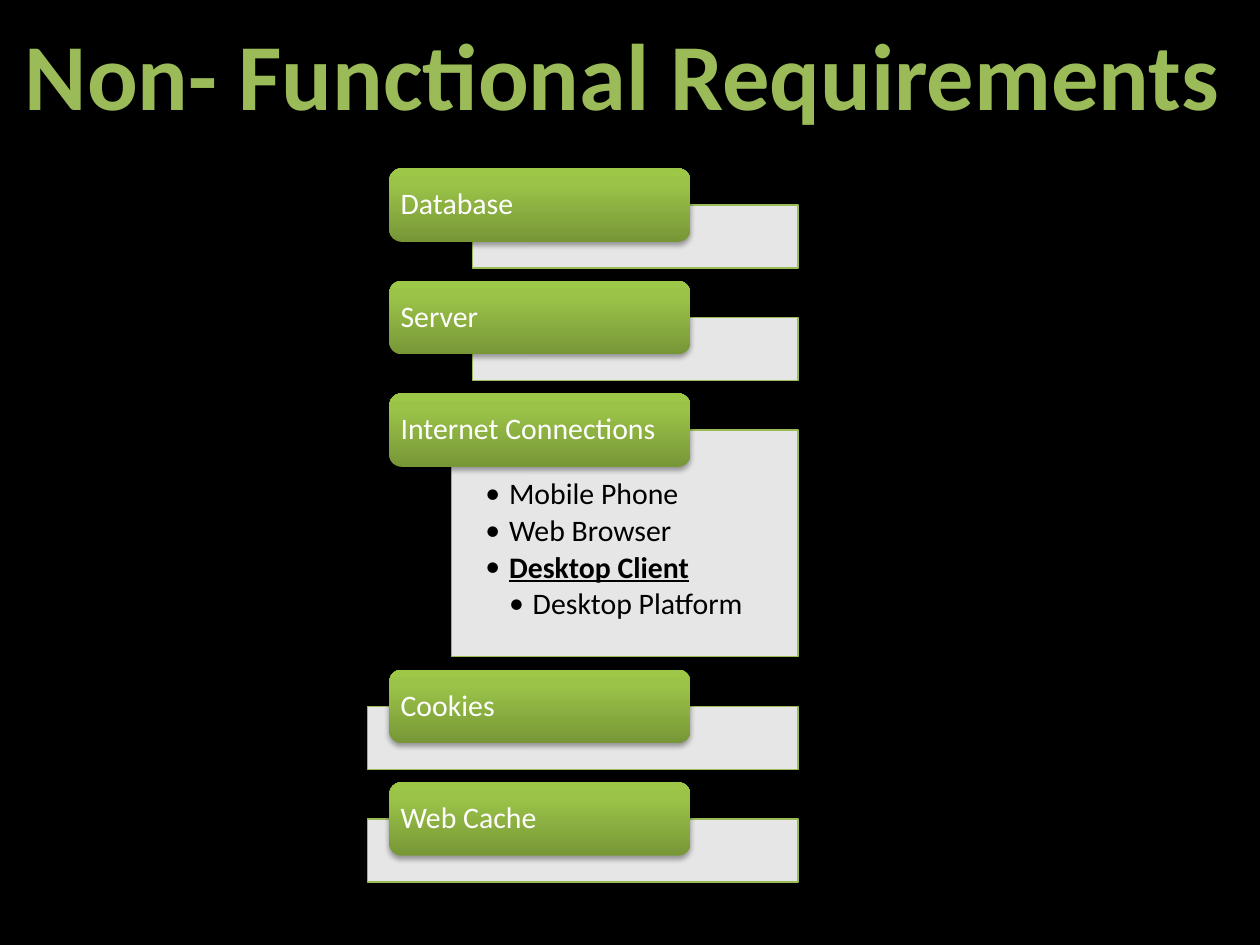
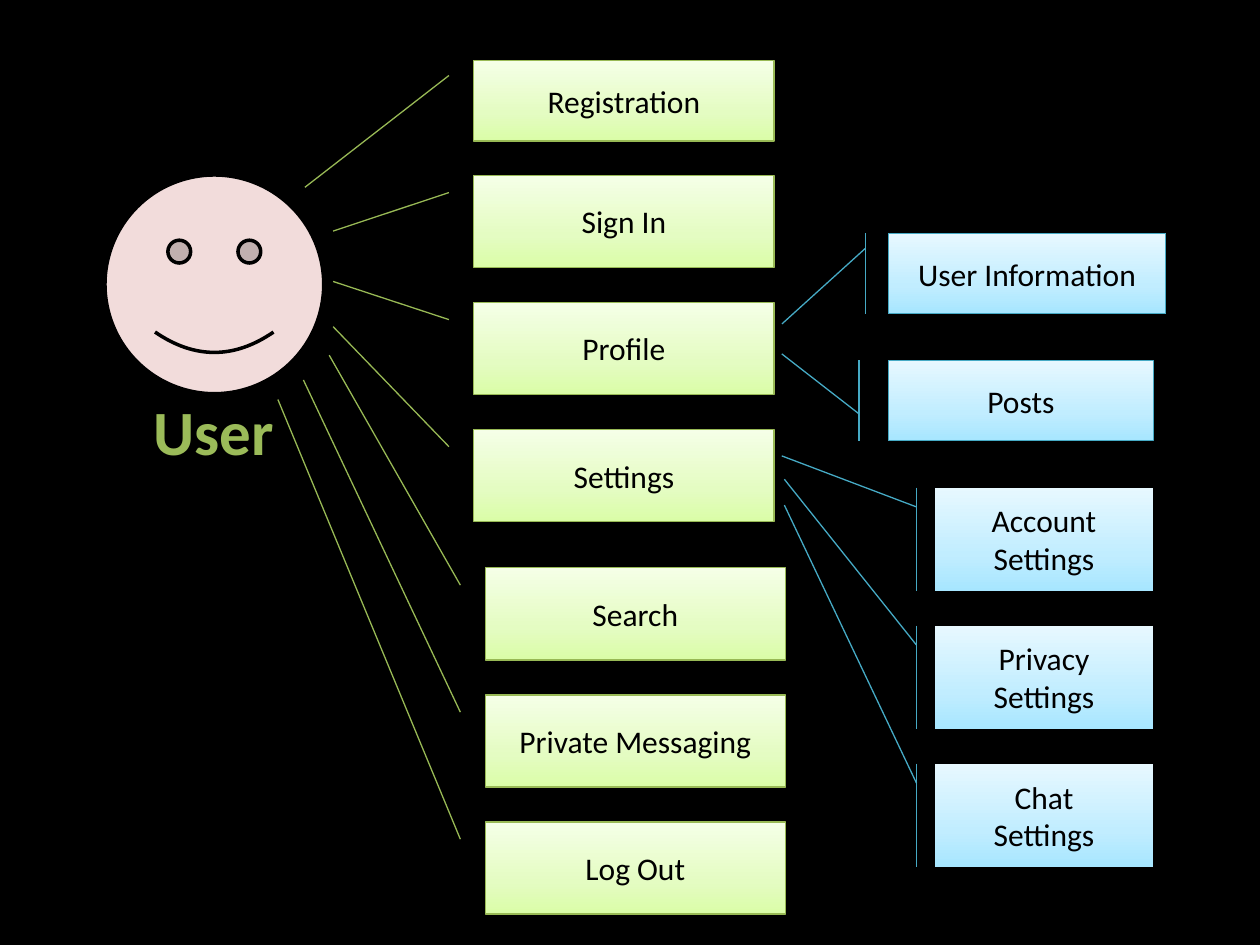
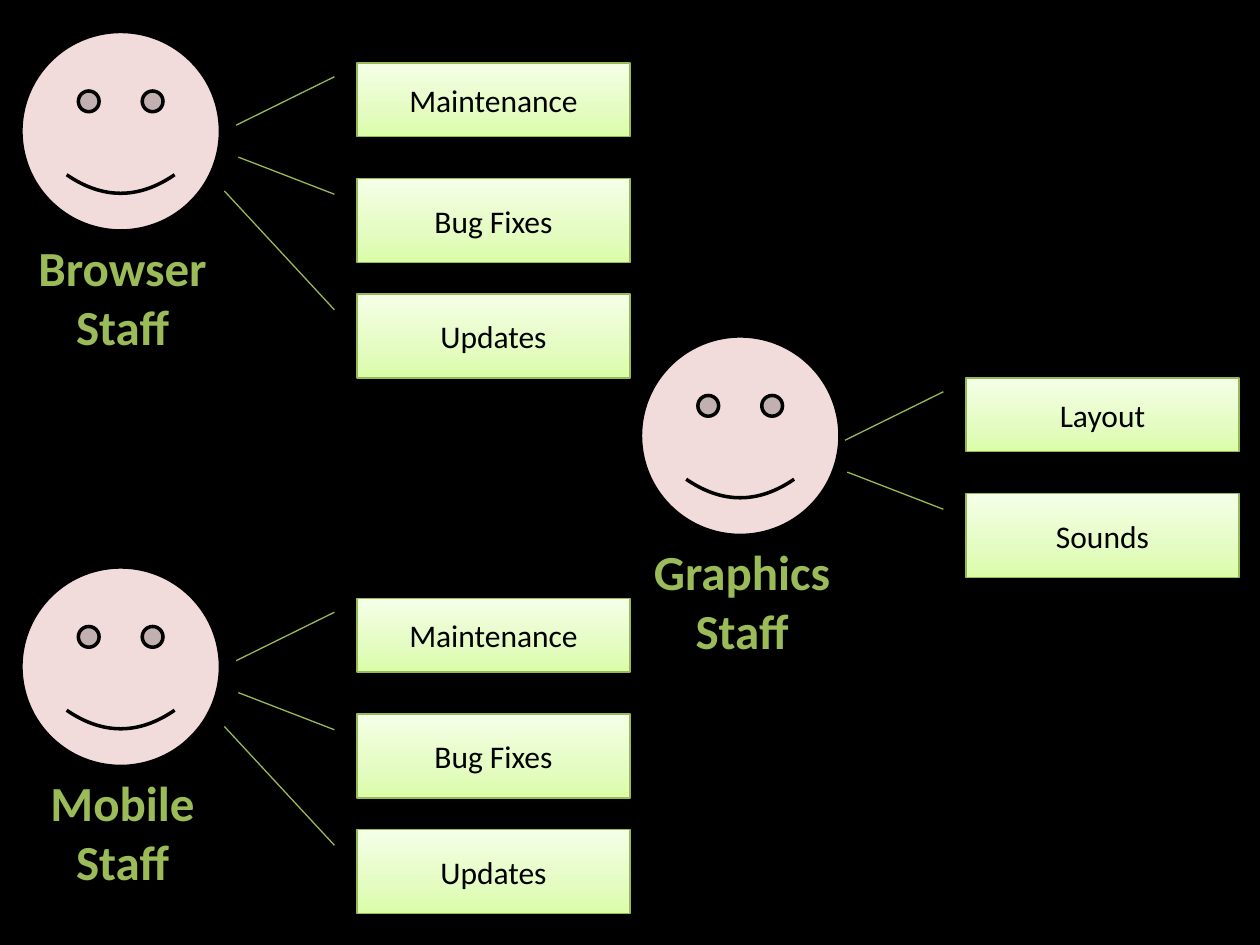
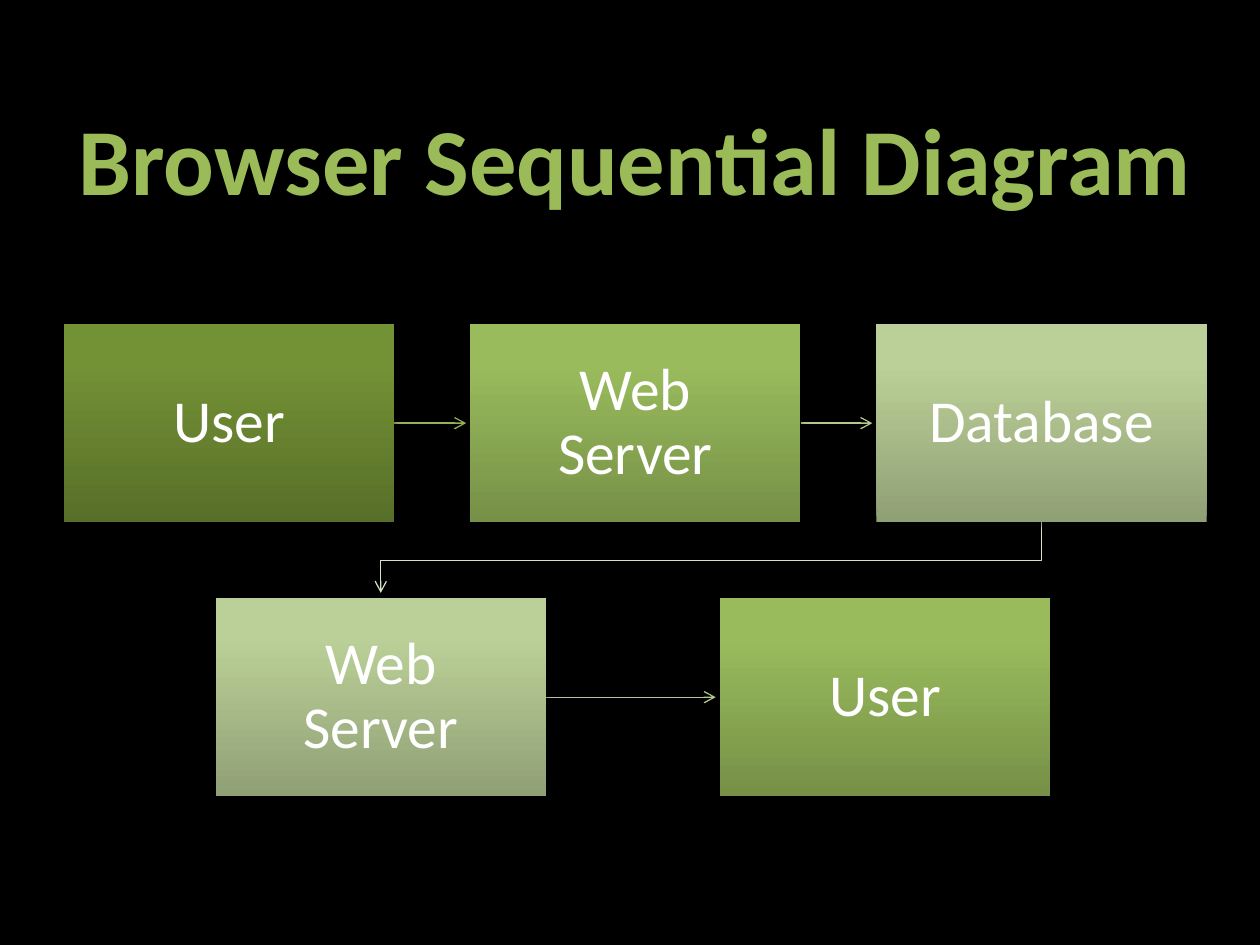
from lxml.etree import SubElement
from pptx import Presentation
from pptx.dml.color import RGBColor
from pptx.enum.shapes import MSO_CONNECTOR, MSO_SHAPE
from pptx.enum.text import MSO_ANCHOR, MSO_AUTO_SIZE, PP_ALIGN
from pptx.oxml.ns import qn
from pptx.util import Pt

FONT = "Calibri"
WHITE, BLACK, GREEN, SKIN = "FFFFFF", "000000", "9BBB59", "F2DCDB"
GREEN_LINE, BLUE_LINE = "98B955", "46AAC5"
CARD_GRADIENT = ((0, "779737"), (80, "9BC348"), (100, "9DC746"))
GREEN_GRADIENT = ((0, "DAFDA7"), (35, "E4FCC2"), (100, "F5FFE7"))
BLUE_GRADIENT = ((0, "A7E6FF"), (35, "C1EDFF"), (100, "E7F8FF"))
DARK_STEP = ((0, "586F29"), (80, "739135"), (100, "749334"))
MID_STEP = ((0, "769047"), (80, "99BB5C"), (100, "9ABD5B"))
PALE_STEP = ((0, "90A075"), (80, "BBD098"), (100, "BCD298"))

MIDDLE = {"word_wrap": True, "vertical_anchor": MSO_ANCHOR.MIDDLE}
CENTRED = {"alignment": PP_ALIGN.CENTER}
LEFT_TIGHT = {"alignment": PP_ALIGN.LEFT, "line_spacing": 0.9}
CENTRED_TIGHT = {"alignment": PP_ALIGN.CENTER, "line_spacing": 0.9}
HEADING_FRAME = {"word_wrap": False, "auto_size": MSO_AUTO_SIZE.SHAPE_TO_FIT_TEXT}


def color(value):
    """Return the colour for a hex string."""
    return RGBColor.from_string(value)


def assign(target, formats):
    """Set every attribute named in a dict of format values."""
    for name, value in formats.items():
        setattr(target, name, value)


def margins(left, top, right, bottom):
    """Return text frame margins as format values."""
    sides = {"left": left, "top": top, "right": right, "bottom": bottom}
    return {f"margin_{side}": Pt(size) for side, size in sides.items()}


def write(frame, text, size, ink, frame_formats, paragraph_formats, bold=False):
    """Fill a text frame with one paragraph per line of text."""
    assign(frame, frame_formats)
    frame.text = text
    for paragraph in frame.paragraphs:
        assign(paragraph, paragraph_formats)
        font = paragraph.runs[0].font
        assign(font, {"name": FONT, "size": Pt(size), "bold": bold})
        font.color.rgb = color(ink)


def outline(line, ink, width=0.75):
    """Draw a line in one colour."""
    line.color.rgb = color(ink)
    line.width = Pt(width)


def add_flat(slide, kind, box):
    """Add a preset shape without a shadow."""
    shape = slide.shapes.add_shape(kind, *map(Pt, box))
    shape.shadow.inherit = False
    return shape


def fill_gradient(shape, stops):
    """Fill a shape from bottom to top through the given stops."""
    shape.fill.gradient()
    shape.fill.gradient_angle = 90
    stop_list = shape._element.spPr.find(qn("a:gradFill")).find(qn("a:gsLst"))
    stop_list.clear()
    for position, ink in stops:
        stop = SubElement(stop_list, qn("a:gs"), pos=str(position * 1000))
        SubElement(stop, qn("a:srgbClr"), val=ink)


def drop_shadow(shape, opacity, distance):
    """Cast a soft black shadow downwards."""
    effects = shape._element.spPr.find(qn("a:effectLst"))
    shadow = SubElement(effects, qn("a:outerShdw"), blurRad=str(Pt(3.1)),
                        dist=str(Pt(distance)), dir="5400000", rotWithShape="0")
    black = SubElement(shadow, qn("a:srgbClr"), val=BLACK)
    SubElement(black, qn("a:alpha"), val=str(opacity * 1000))


def add_heading(slide, box, text, size):
    """Add bold green centred text."""
    heading = slide.shapes.add_textbox(*map(Pt, box))
    write(heading.text_frame, text, size, GREEN, HEADING_FRAME, CENTRED, bold=True)


def add_panel(slide, box):
    """Add the pale translucent panel behind a requirement."""
    panel = add_flat(slide, MSO_SHAPE.RECTANGLE, box)
    panel.fill.solid()
    panel.fill.fore_color.rgb = color(WHITE)
    white = panel._element.spPr.find(qn("a:solidFill"))[0]
    SubElement(white, qn("a:alpha"), val="90000")
    outline(panel.line, GREEN)
    return panel


def add_details(panel, details):
    """List (text, level, emphasis) details as bullets in a panel."""
    frame = panel.text_frame
    formats = {"word_wrap": True, "vertical_anchor": MSO_ANCHOR.TOP}
    write(frame, "\n".join(text for text, _, _ in details), 17, BLACK,
          formats | margins(19.4, 28, 19.4, 9.4),
          LEFT_TIGHT | {"space_after": Pt(2.55)})
    for paragraph, (_, level, emphasis) in zip(frame.paragraphs, details):
        paragraph.level = level
        assign(paragraph.runs[0].font, {"bold": emphasis, "underline": emphasis})
        properties = paragraph._p.get_or_add_pPr()
        properties.set("marL", str(Pt(13.5 * level)))
        properties.set("indent", str(Pt(-13.5)))
        SubElement(properties, qn("a:buFont"), typeface=FONT)
        SubElement(properties, qn("a:buChar"), char="•")


def add_requirements(slide, box, requirements):
    """Stack requirement cards over panels that end at the right edge."""
    left, top, width, _ = box
    for name, panel_left, panel_height, details in requirements:
        panel = add_panel(slide, (left + panel_left, top + 21,
                                  width - panel_left, panel_height))
        if details:
            add_details(panel, details)
        card = add_flat(slide, MSO_SHAPE.ROUNDED_RECTANGLE, (left + 12.5, top, 172, 42))
        fill_gradient(card, CARD_GRADIENT)
        card.line.fill.background()
        drop_shadow(card, 35, 1.8)
        write(card.text_frame, name, 17, WHITE,
              MIDDLE | margins(4.4, 0, 4.4, 0), LEFT_TIGHT)
        top += 21 + panel_height + 7.3


def add_callout(slide, box, text, tip, kind=MSO_SHAPE.LINE_CALLOUT_1,
                gradient=GREEN_GRADIENT, ink=GREEN_LINE, start=(0.188, -0.083)):
    """Add a labelled box whose pointer runs from start to tip."""
    callout = add_flat(slide, kind, box)
    for index, ratio in enumerate(start + tip):
        callout.adjustments[index] = ratio
    fill_gradient(callout, gradient)
    outline(callout.line, ink)
    drop_shadow(callout, 38, 1.6)
    write(callout.text_frame, text, 18, BLACK, MIDDLE, CENTRED)


def add_face(slide, box):
    """Add a smiling face."""
    face = add_flat(slide, MSO_SHAPE.SMILEY_FACE, box)
    face.fill.solid()
    face.fill.fore_color.rgb = color(SKIN)
    outline(face.line, BLACK, 2)


def add_user_actions(slide, box):
    """Add the user with the seven actions."""
    left, top, width, _ = box
    add_face(slide, (left, top + 65.5, 125, 125))
    add_heading(slide, (left + 15, top + 186, 94, 56), "User", 36)
    near, far = left + width - 178, left + width - 171.5
    actions = (
        ("Registration", near, 0, 46, (1.577, -0.563)),
        ("Sign In", near, 65.7, 52.6, (0.606, -0.469)),
        ("Profile", near, 138.3, 52.6, (-0.227, -0.469)),
        ("Settings", near, 210.9, 52.6, (-1.116, -0.469)),
        ("Search", far, 290, 52.6, (-2.31, -0.52)),
        ("Private Messaging", far, 362.6, 52.6, (-3.421, -0.606)),
        ("Log Out", far, 435.2, 52.6, (-4.588, -0.691)),
    )
    for name, action_left, offset, height, tip in actions:
        add_callout(slide, (action_left, top + offset, 171.5, height), name, tip)


def add_subpages(slide, box):
    """Add the pages below the profile and the settings."""
    left, top, width, _ = box
    blue = {"gradient": BLUE_GRADIENT, "ink": BLUE_LINE}
    bordered = blue | {"kind": MSO_SHAPE.LINE_CALLOUT_1_BORDER_AND_ACCENT_BAR}
    barred = blue | {"kind": MSO_SHAPE.LINE_CALLOUT_1_ACCENT_BAR}
    add_callout(slide, (left, top, width, 46), "User Information",
                (1.125, -0.383), **bordered)
    add_callout(slide, (left, top + 72.6, 151.5, 46), "Posts",
                (-0.081, -0.402), start=(0.664, -0.111), **bordered)
    settings = (
        ("Account Settings", (-0.307, -0.699)),
        ("Privacy Settings", (-1.418, -0.687)),
        ("Chat\nSettings", (-2.505, -0.687)),
    )
    for row, (name, tip) in enumerate(settings):
        add_callout(slide, (left + 26.5, top + 145.3 + 78.9 * row, 125, 59),
                    name, tip, **barred)


def add_staff(slide, box, name, tasks, task_left=192, task_top=18):
    """Add a staff member with a name below and tasks to the right."""
    left, top, face_size, _ = box
    add_face(slide, box)
    add_heading(slide, (left - 2, top + face_size, face_size + 6, 75), name, 28)
    slots = ((0, 42, (0.847, -0.443)), (66, 48, (-0.255, -0.435)),
             (132, 48, (-1.227, -0.486)))
    for task, (offset, height, tip) in zip(tasks, slots):
        add_callout(slide, (left + task_left, top + task_top + offset, 156, height),
                    task, tip)


def add_step(slide, box, name, gradient):
    """Add one step of the sequence."""
    step = add_flat(slide, MSO_SHAPE.RECTANGLE, box)
    fill_gradient(step, gradient)
    step.line.fill.background()
    drop_shadow(step, 35, 1.8)
    write(step.text_frame, name, 34, WHITE,
          MIDDLE | margins(18.7, 18.7, 18.7, 18.7), CENTRED_TIGHT)


def point_arrow(arrow, ink):
    """Colour a line and end it with an open arrowhead."""
    outline(arrow.line, ink)
    SubElement(arrow.line._get_or_add_ln(), qn("a:tailEnd"), type="arrow")


def add_arrow(slide, start, length, ink):
    """Add a straight arrow to the right."""
    left, top = start
    arrow = slide.shapes.add_connector(
        MSO_CONNECTOR.STRAIGHT, *map(Pt, (left, top, left + length, top)))
    point_arrow(arrow, ink)
    SubElement(arrow._element.spPr, qn("a:effectLst"))


def add_bent_arrow(slide, points, ink):
    """Add an arrow along several points."""
    start, *corners = [tuple(map(Pt, point)) for point in points]
    builder = slide.shapes.build_freeform(*start)
    builder.add_line_segments(corners, close=False)
    arrow = builder.convert_to_shape()
    arrow.shadow.inherit = False
    arrow.fill.background()
    point_arrow(arrow, ink)


def add_sequence(slide, box):
    """Add three steps, a turn, and two steps below."""
    left, top, width, height = box
    step_width, step_height = 188.8, 113.2
    pitch = (width - step_width) / 2
    lower_top = top + height - step_height
    lower_lefts = (left + 86.6, left + 374.7)
    middle = step_height / 2
    first_row = (("User", DARK_STEP), ("Web Server", MID_STEP), ("Database", PALE_STEP))
    second_row = (("Web Server", PALE_STEP), ("User", MID_STEP))
    for column, ink in enumerate(("94B355", "B3C88E")):
        start = left + pitch * column + step_width
        add_arrow(slide, (start, top + middle), 41, ink)
    add_arrow(slide, (lower_lefts[0] + step_width, lower_top + middle), 97, "B3C88E")
    turn_right = left + width - step_width / 2
    turn_left = lower_lefts[0] + step_width / 2
    turn_top = top + step_height
    turn_middle = (turn_top + lower_top) / 2
    add_bent_arrow(slide, ((turn_right, turn_top), (turn_right, turn_middle),
                           (turn_left, turn_middle), (turn_left, lower_top - 3)), "D5E1C4")
    for column, (name, gradient) in enumerate(first_row):
        add_step(slide, (left + pitch * column, top, step_width, step_height),
                 name, gradient)
    for step_left, (name, gradient) in zip(lower_lefts, second_row):
        add_step(slide, (step_left, lower_top, step_width, step_height), name, gradient)


def main():
    """Build and save the four slides."""
    deck = Presentation()
    assign(deck, {"slide_width": Pt(720), "slide_height": Pt(540)})
    backdrop = deck.slide_master.background.fill
    backdrop.solid()
    backdrop.fore_color.rgb = color(BLACK)
    needs, user, staff, sequence = [
        deck.slides.add_slide(deck.slide_layouts[6]) for _ in range(4)]

    connections = (("Mobile Phone", 1, False), ("Web Browser", 1, False),
                   ("Desktop Client", 1, True), ("Desktop Platform", 2, False))
    add_requirements(needs, (210, 96.2, 246, 408), (
        ("Database", 60, 36, ()),
        ("Server", 60, 36, ()),
        ("Internet Connections", 48, 129.6, connections),
        ("Cookies", 0, 36, ()),
        ("Web Cache", 0, 36, ()),
    ))
    add_heading(needs, (3.2, 5.4, 705, 72.7), "Non- Functional Requirements", 54)

    add_user_actions(user, (60, 34.5, 388.8, 488))
    add_subpages(user, (507.6, 133.3, 158.6, 362))

    upkeep = ("Maintenance", "Bug Fixes", "Updates")
    add_staff(staff, (12, 18, 114, 114), "Browser\nStaff", upkeep)
    add_staff(staff, (12, 324, 114, 114), "Mobile\nStaff", upkeep)
    add_staff(staff, (366, 192, 114, 114), "Graphics\nStaff",
              ("Layout", "Sounds"), task_left=186, task_top=24)

    add_sequence(sequence, (36.6, 185.2, 653, 269.8))
    add_heading(sequence, (34.6, 54, 656.6, 72.7), "Browser Sequential Diagram", 54)
    deck.save("out.pptx")


if __name__ == "__main__":
    main()
